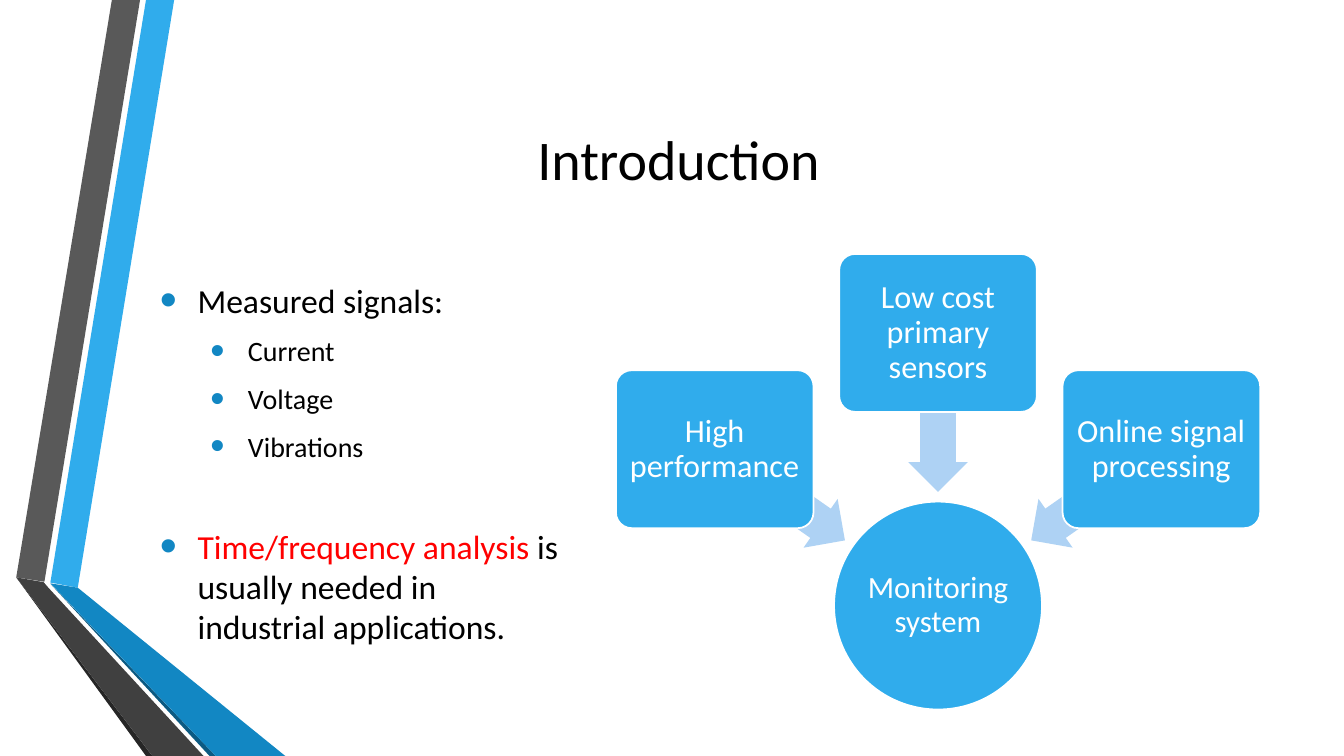
from math import cos, radians, sin

from lxml import etree
from pptx import Presentation
from pptx.dml.color import RGBColor
from pptx.enum.shapes import MSO_SHAPE
from pptx.enum.text import MSO_ANCHOR, PP_ALIGN
from pptx.oxml.ns import qn
from pptx.util import Cm, Pt

ROUNDED, ELLIPSE, LEFT_ARROW = (
    MSO_SHAPE.ROUNDED_RECTANGLE, MSO_SHAPE.OVAL, MSO_SHAPE.LEFT_ARROW)
CENTER, MIDDLE = PP_ALIGN.CENTER, MSO_ANCHOR.MIDDLE

BLACK = RGBColor(0x00, 0x00, 0x00)
WHITE = RGBColor(0xFF, 0xFF, 0xFF)
RED = RGBColor(0xFF, 0x00, 0x00)
BLUE = RGBColor(0x30, 0xAC, 0xEC)
MID_BLUE = RGBColor(0x12, 0x87, 0xC3)
DARK_BLUE = RGBColor(0x0C, 0x5A, 0x82)
PALE_BLUE = RGBColor(0xAE, 0xD2, 0xF4)
GRAY = RGBColor(0x59, 0x59, 0x59)
DARK_GRAY = RGBColor(0x40, 0x40, 0x40)
DEEP_GRAY = RGBColor(0x26, 0x26, 0x26)
FONT = "Calibri"

# Content
TITLE = "Introduction"
# level, space before in points, runs of (text, color)
BULLETS = [
    (0, 4.8, [("Measured signals:", BLACK)]),
    (1, 4, [("Current", BLACK)]),
    (1, 4, [("Voltage", BLACK)]),
    (1, 4, [("Vibrations", BLACK)]),
    (0, 39, [("Time/frequency analysis ", RED),
             ("is usually needed in industrial applications.", BLACK)]),
]
BULLET_SIZES = (24, 20)
BULLET_MARGINS = (Cm(0.95), Cm(2.22))

HUB = "Monitoring system"
# angle around the hub, clockwise from the right
INPUTS = [(215, "High performance"),
          (270, "Low cost primary sensors"),
          (325, "Online signal processing")]

# Ribbon outlines in cm
RIBBONS = [
    (BLUE, [(1.27, 14.68), (1.96, 14.81), (4.39, 0), (3.68, 0)]),
    (GRAY, [(3.53, 0), (2.82, 0), (0.41, 14.55), (1.12, 14.66)]),
    (DEEP_GRAY, [(0.41, 14.55), (3.68, 19.05), (3.84, 19.05)]),
    (DARK_BLUE, [(1.27, 14.71), (5.28, 19.05), (5.44, 19.05)]),
    (MID_BLUE, [(1.27, 14.7), (5.44, 19.05), (7.19, 19.05), (1.96, 14.81)]),
    (DARK_GRAY, [(5.13, 19.05), (1.22, 14.81), (1.1, 14.67), (0.41, 14.55),
                 (3.84, 19.05)]),
]

# Diagram geometry in cm
HUB_X, HUB_Y, HUB_SIZE = 23.64, 15.26, 5.24
ARROW_RADIUS, ARROW_W, ARROW_H = 4.87, 4.01, 1.5
BOX_RADIUS, BOX_W, BOX_H = 6.87, 4.98, 3.98

prs = Presentation()
prs.slide_width, prs.slide_height = Cm(33.87), Cm(19.05)
slide = prs.slides.add_slide(prs.slide_layouts[5])
shapes = slide.shapes


def set_font(font, size, color):
    font.name, font.size = FONT, Pt(size)
    font.color.rgb = color


def add_centered(kind, x, y, width, height, color):
    shape = shapes.add_shape(kind, Cm(x - width / 2), Cm(y - height / 2),
                             Cm(width), Cm(height))
    shape.shadow.inherit = False
    shape.fill.solid()
    shape.fill.fore_color.rgb = color
    shape.line.fill.background()
    return shape


def add_node(kind, x, y, width, height, text, size, inset):
    node = add_centered(kind, x, y, width, height, BLUE)
    node.line.color.rgb = WHITE
    node.line.width = Pt(1.25)
    frame = node.text_frame
    frame.word_wrap = True
    frame.vertical_anchor = MIDDLE
    frame.margin_left = frame.margin_right = Cm(inset)
    frame.margin_top = frame.margin_bottom = Cm(inset)
    paragraph = frame.paragraphs[0]
    paragraph.text = text
    paragraph.alignment = CENTER
    paragraph.line_spacing = 0.9
    set_font(paragraph.font, size, WHITE)
    return node


def around_hub(angle, radius):
    turn = radians(angle)
    return HUB_X + radius * cos(turn), HUB_Y + radius * sin(turn)


def add_bullet(paragraph, margin):
    props = paragraph._p.get_or_add_pPr()
    props.set("marL", str(margin))
    props.set("indent", str(-BULLET_MARGINS[0]))
    color = etree.SubElement(props, qn("a:buClr"))
    etree.SubElement(color, qn("a:srgbClr"), val=str(MID_BLUE))
    etree.SubElement(props, qn("a:buSzPct"), val="145000")
    etree.SubElement(props, qn("a:buFont"), typeface="Arial")
    etree.SubElement(props, qn("a:buChar"), char="•")


# Ribbons down the left edge
for color, outline in RIBBONS:
    points = [(Cm(x), Cm(y)) for x, y in outline]
    builder = shapes.build_freeform(*points[0])
    builder.add_line_segments(points[1:], close=True)
    ribbon = builder.convert_to_shape()
    ribbon.shadow.inherit = False
    ribbon.fill.solid()
    ribbon.fill.fore_color.rgb = color
    ribbon.line.fill.background()

# Title
title = shapes.title
title.left, title.top, title.width, title.height = (
    Cm(3.18), Cm(1.55), Cm(27.84), Cm(4.88))
title.text_frame.vertical_anchor = MIDDLE
heading = title.text_frame.paragraphs[0]
heading.text = TITLE
heading.alignment = CENTER
set_font(heading.font, 40, BLACK)

# Hub with its inputs
add_node(ELLIPSE, HUB_X, HUB_Y, HUB_SIZE, HUB_SIZE, HUB, 22, 0.05)
for angle, label in INPUTS:
    arrow = add_centered(LEFT_ARROW, *around_hub(angle, ARROW_RADIUS),
                         ARROW_W, ARROW_H, PALE_BLUE)
    arrow.adjustments[0], arrow.adjustments[1] = 0.6, 0.5
    arrow.rotation = angle
    box = add_node(ROUNDED, *around_hub(angle, BOX_RADIUS),
                   BOX_W, BOX_H, label, 23, 0.12)
    box.adjustments[0] = 0.1

# Bullet list
signals = shapes.add_textbox(Cm(3.78), Cm(6.4), Cm(10.72), Cm(10.54)).text_frame
signals.word_wrap = True
signals.vertical_anchor = MIDDLE
for index, (level, space_before, runs) in enumerate(BULLETS):
    paragraph = signals.add_paragraph() if index else signals.paragraphs[0]
    paragraph.level = level
    paragraph.space_before, paragraph.space_after = Pt(space_before), Pt(6)
    add_bullet(paragraph, BULLET_MARGINS[level])
    set_font(paragraph.font, BULLET_SIZES[level], BLACK)
    for text, color in runs:
        run = paragraph.add_run()
        run.text = text
        if color != BLACK:
            run.font.color.rgb = color

prs.save("out.pptx")
